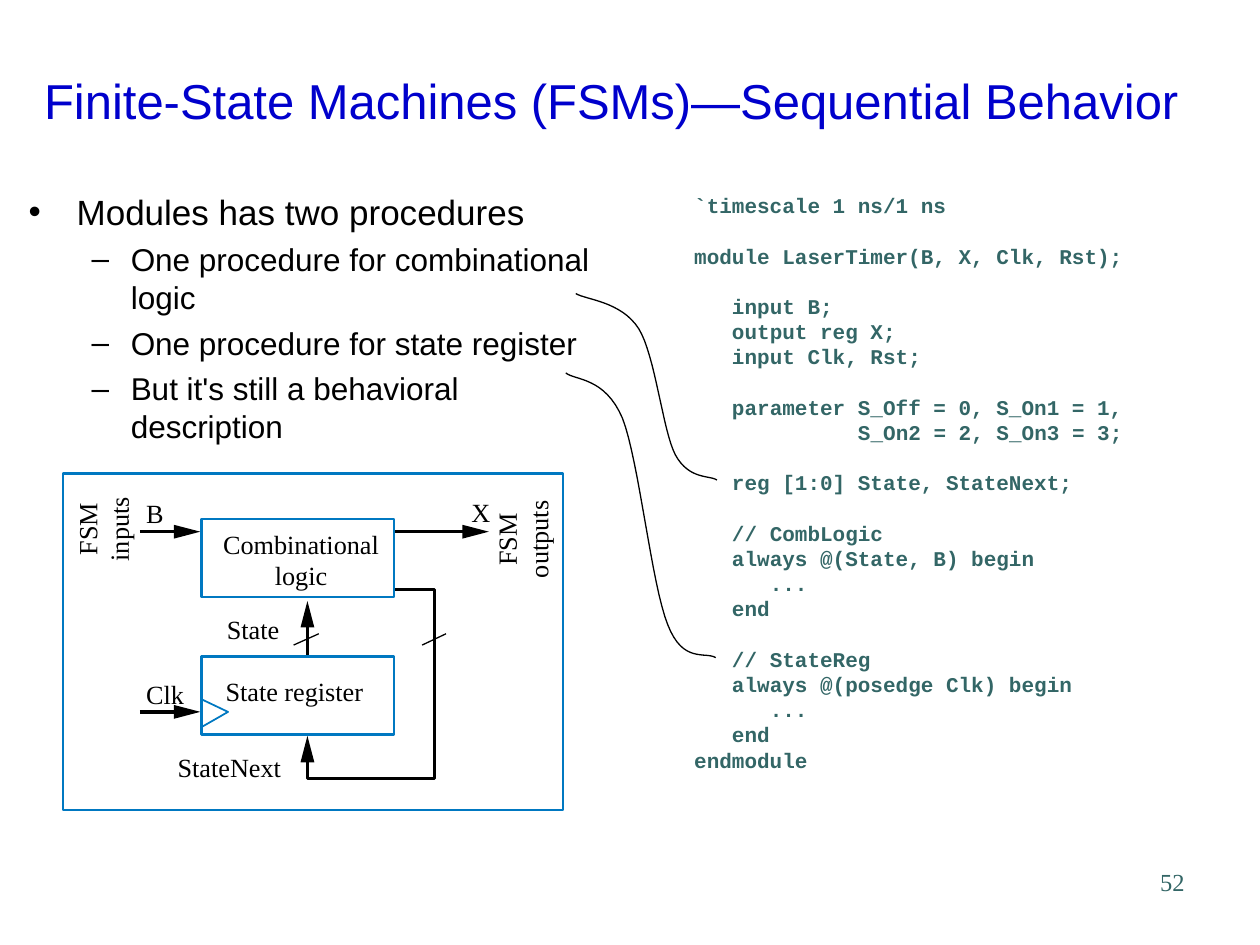
from pptx import Presentation
from pptx.dml.color import RGBColor
from pptx.enum.shapes import MSO_SHAPE as Shape, MSO_CONNECTOR as Link
from pptx.enum.text import MSO_ANCHOR as Anchor, MSO_AUTO_SIZE as Fit, PP_ALIGN as Align
from pptx.oxml.ns import qn
from pptx.util import Inches, Pt
from lxml.etree import SubElement as Sub

BLACK, BLUE, TEAL, NAVY = "000000", "0078C1", "336666", "0000CC"
SERIF, SANS, MONO = "Times New Roman", "Arial", "Courier New"

CODE = """`timescale 1 ns/1 ns

module LaserTimer(B, X, Clk, Rst);

   input B;
   output reg X;
   input Clk, Rst;

   parameter S_Off = 0, S_On1 = 1,
             S_On2 = 2, S_On3 = 3;

   reg [1:0] State, StateNext;

   // CombLogic
   always @(State, B) begin
      ...
   end

   // StateReg
   always @(posedge Clk) begin
      ...
   end
endmodule"""

POINTS = [
    ("Modules has two procedures", 0),
    ("One procedure for combinational logic", 1),
    ("One procedure for state register", 1),
    ("But it's still a behavioral description", 1),
]
LEVELS = [
    {"size": 20, "gap": 5, "left": 0.38, "hang": -0.38, "mark": "•"},
    {"size": 18, "gap": 4.5, "left": 0.81, "hang": -0.31, "mark": "–"},
]
LABELS = [
    ("Combinational\nlogic", 1.77, 4.19, 1.24, 0.5, 0),
    ("State register", 1.79, 5.36, 1.09, 0.25, 0),
    ("State", 1.8, 4.87, 0.42, 0.25, 0),
    ("X", 3.74, 3.94, 0.15, 0.25, 0),
    ("B", 1.16, 3.95, 0.14, 0.25, 0),
    ("Clk", 1.16, 5.38, 0.3, 0.25, 0),
    ("FSM\ninputs", 0.56, 3.95, 0.51, 0.5, 270),
    ("FSM\noutputs", 3.84, 4.03, 0.61, 0.5, 270),
    ("StateNext", 1.41, 5.96, 0.82, 0.25, 0),
]
BOXES = [(0.5, 3.76, 3.97, 2.67), (1.6, 4.12, 1.53, 0.62), (1.6, 5.21, 1.53, 0.62)]
WIRES = [
    (1.11, 4.22, 1.42, 4.22, 1.87),
    (3.13, 4.22, 3.7, 4.22, 1.87),
    (1.11, 5.65, 1.42, 5.65, 1.87),
    (2.44, 5.21, 2.44, 4.94, 1.87),
    (2.33, 5.12, 2.53, 5.03, 0.75),
    (3.35, 5.12, 3.54, 5.03, 0.75),
]
HEADS = [(1.59, 4.22, 1, 0), (3.88, 4.22, 1, 0), (1.59, 5.65, 1, 0),
         (2.44, 4.77, 0, -1), (2.44, 5.84, 0, -1)]
LOOP = [(2.44, 6.01), (2.44, 6.18), (3.45, 6.18), (3.45, 4.68), (3.13, 4.68)]
CLOCK = [(1.6, 5.77), (1.81, 5.65), (1.6, 5.55)]
CURVES = [
    [(4.57, 2.33), (4.65, 2.38), (4.93, 2.39), (5.07, 2.61), (5.2, 2.82),
     (5.26, 3.42), (5.36, 3.61), (5.47, 3.81), (5.63, 3.77), (5.69, 3.81)],
    [(4.49, 2.96), (4.56, 3.02), (4.8, 2.99), (4.94, 3.32), (5.07, 3.65),
     (5.17, 4.64), (5.3, 4.96), (5.42, 5.27), (5.6, 5.17), (5.68, 5.22)],
]


def rgb(code):
    return RGBColor.from_string(code)


def put(item, values):
    for name, value in values.items():
        setattr(item, name, value)


def style(para, size, face, color, bold=False):
    put(para.font, {"size": Pt(size), "name": face, "bold": bold})
    para.font.color.rgb = rgb(color)


def indent(para, left, hang=0):
    props = para._p.get_or_add_pPr()
    props.set("marL", str(Inches(left)))
    props.set("indent", str(Inches(hang)))
    return props


def text_box(slide, x, y, w, h, pad=(0, 0), wrap=False):
    box = slide.shapes.add_textbox(Inches(x), Inches(y), Inches(w), Inches(h))
    side, top = (Inches(v) for v in pad)
    put(box.text_frame, {
        "word_wrap": wrap, "auto_size": Fit.NONE,
        "margin_left": side, "margin_right": side,
        "margin_top": top, "margin_bottom": top,
    })
    return box


def add_para(frame, index):
    return frame.add_paragraph() if index else frame.paragraphs[0]


def add_title(slide):
    title = slide.shapes.title
    put(title, {"left": Inches(0.25), "top": Inches(0.33),
                "width": Inches(9.42), "height": Inches(0.92)})
    frame = title.text_frame
    frame.text = "Finite-State Machines (FSMs)—Sequential Behavior"
    put(frame, {"auto_size": Fit.NONE, "vertical_anchor": Anchor.MIDDLE})
    frame.paragraphs[0].alignment = Align.LEFT
    style(frame.paragraphs[0], 28, SANS, NAVY)


def add_list(slide):
    frame = text_box(slide, 0.13, 1.46, 4.74, 2.31, (0.1, 0.05), True).text_frame
    for index, (text, level) in enumerate(POINTS):
        look = LEVELS[level]
        para = add_para(frame, index)
        put(para, {"text": text, "level": level, "space_before": Pt(look["gap"])})
        style(para, look["size"], SANS, BLACK)
        props = indent(para, look["left"], look["hang"])
        tint = Sub(props, qn("a:buClr"))
        Sub(tint, qn("a:srgbClr"), val=BLACK)
        Sub(props, qn("a:buFont"), typeface=SANS)
        Sub(props, qn("a:buChar"), char=look["mark"])


def add_code(slide):
    frame = text_box(slide, 5.51, 1.53, 3.4, 4.6).text_frame
    blocks = [block.split("\n") for block in CODE.split("\n\n")]
    lines = [(line, part > 0 and row == 0)
             for part, block in enumerate(blocks) for row, line in enumerate(block)]
    for index, (line, gap) in enumerate(lines):
        para = add_para(frame, index)
        text = line.lstrip()
        put(para, {"text": text, "line_spacing": Pt(14.4),
                   "space_before": Pt(14.4 if gap else 0)})
        indent(para, 0.1 * (len(line) - len(text)))
        style(para, 12, MONO, TEAL, True)


def add_label(slide, text, x, y, w, h, turn):
    box = text_box(slide, x, y, w, h)
    box.rotation = turn
    for index, line in enumerate(text.split("\n")):
        para = add_para(box.text_frame, index)
        put(para, {"text": line, "alignment": Align.CENTER if "\n" in text else Align.LEFT})
        style(para, 15, SERIF, BLACK)


def add_page(slide):
    para = text_box(slide, 7.42, 6.83, 2.08, 0.5, (0.1, 0.05), True).text_frame.paragraphs[0]
    put(para, {"text": "52", "alignment": Align.RIGHT})
    style(para, 14, SERIF, TEAL)


def outline(shape, color, width):
    shape.shadow.inherit = False
    shape.fill.background()
    shape.line.color.rgb = rgb(color)
    shape.line.width = Pt(width)


def add_box(slide, *area):
    box = slide.shapes.add_shape(Shape.RECTANGLE, *(Inches(v) for v in area))
    outline(box, BLUE, 1.39)


def add_wire(slide, *ends, width):
    wire = slide.shapes.add_connector(Link.STRAIGHT, *(Inches(v) for v in ends))
    wire.line.color.rgb = rgb(BLACK)
    wire.line.width = Pt(width)
    Sub(wire._element.spPr, qn("a:effectLst"))


def add_free(slide, points, close=False):
    spots = [(Inches(x), Inches(y)) for x, y in points]
    pen = slide.shapes.build_freeform(*spots[0])
    pen.add_line_segments(spots[1:], close=close)
    return pen.convert_to_shape()


def add_head(slide, x, y, dx, dy):
    back, half = 0.21, 0.055
    bx, by = x - back * dx, y - back * dy
    wings = [(bx + side * half * dy, by + side * half * dx) for side in (-1, 1)]
    head = add_free(slide, [(x, y), *wings], True)
    head.shadow.inherit = False
    head.fill.solid()
    head.fill.fore_color.rgb = rgb(BLACK)
    head.line.fill.background()


def bend(knots, steps=16):
    spots = [knots[0]]
    for start in range(0, len(knots) - 1, 3):
        quad = knots[start:start + 4]
        for step in range(1, steps + 1):
            t = step / steps
            u = 1 - t
            parts = (u ** 3, 3 * u * u * t, 3 * u * t * t, t ** 3)
            spots.append(tuple(sum(k * p[axis] for k, p in zip(parts, quad)) for axis in (0, 1)))
    return spots


def main():
    deck = Presentation()
    put(deck, {"slide_width": Inches(10), "slide_height": Inches(7.5)})
    slide = deck.slides.add_slide(deck.slide_layouts[5])
    add_page(slide)
    add_title(slide)
    add_list(slide)
    add_code(slide)
    for *ends, width in WIRES:
        add_wire(slide, *ends, width=width)
    outline(add_free(slide, LOOP), BLACK, 1.87)
    for head in HEADS:
        add_head(slide, *head)
    for area in BOXES:
        add_box(slide, *area)
    outline(add_free(slide, CLOCK), BLUE, 1)
    for label in LABELS:
        add_label(slide, *label)
    for knots in CURVES:
        outline(add_free(slide, bend(knots)), BLACK, 0.75)
    deck.save("out.pptx")


if __name__ == "__main__":
    main()
